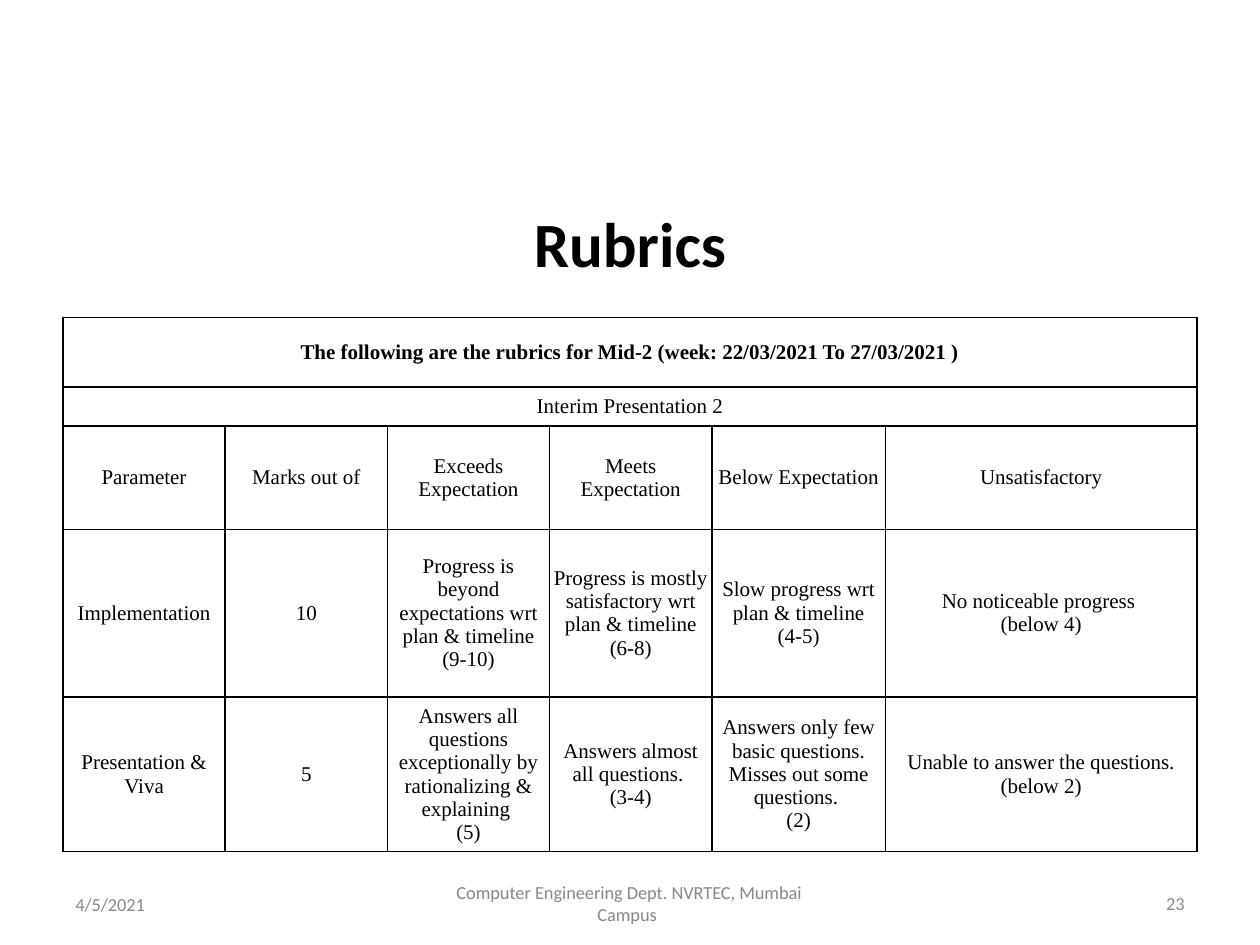
from copy import deepcopy
from dataclasses import dataclass

from lxml import etree
from pptx import Presentation
from pptx.dml.color import RGBColor
from pptx.enum import text as t
from pptx.oxml import ns
from pptx.util import Cm, Pt


@dataclass(frozen=True)
class Theme:
    ink: str = "000000"
    muted: str = "888888"
    heading_font: str = "Calibri"
    table_font: str = "Times New Roman"
    title_size: float = 36
    table_size: float = 12
    footer_size: float = 10.5
    border: float = 1


theme = Theme()


def write(frame, content, *, font, size, color, bold=False, align=t.PP_ALIGN.CENTER):
    """Fill a frame with one paragraph; newlines become line breaks of the same format."""
    paragraph = frame.paragraphs[0]
    paragraph.text = content
    paragraph.alignment = align
    for run in paragraph.runs:
        run.font.name, run.font.size, run.font.bold = font, Pt(size), bold
        run.font.color.rgb = RGBColor.from_string(color)
    for line_break in paragraph._p.findall(ns.qn("a:br")):
        line_break.append(deepcopy(paragraph.runs[0]._r.rPr))


def outline(cell):
    """Draw all four borders of a cell."""
    properties = cell._tc.get_or_add_tcPr()
    for position, side in enumerate(("lnL", "lnR", "lnT", "lnB")):
        line = etree.Element(ns.qn(f"a:{side}"), w=str(Pt(theme.border)))
        fill = etree.SubElement(line, ns.qn("a:solidFill"))
        etree.SubElement(fill, ns.qn("a:srgbClr"), val=theme.ink)
        properties.insert(position, line)


deck = Presentation()
deck.slide_width, deck.slide_height = Cm(25.4), Cm(19.05)
slide = deck.slides.add_slide(deck.slide_layouts[5])

# Title
title = slide.shapes.title
title.left, title.top, title.width, title.height = Cm(1.27), Cm(3.61), Cm(22.86), Cm(2.54)
title.text_frame.vertical_anchor = t.MSO_ANCHOR.MIDDLE
write(title.text_frame, "Rubrics", font=theme.heading_font, size=theme.title_size,
      color=theme.ink, bold=True)

# Rubric table
column_widths = [3.27] * 4 + [3.5, 6.28]
row_heights = [1.4, 0.79, 2.08, 3.38, 3.12]
rubric_rows = [
    ["The following are the rubrics for Mid-2 (week: 22/03/2021 To 27/03/2021 )"],
    ["Interim Presentation 2"],
    ["Parameter", "Marks out of", "Exceeds Expectation", "Meets Expectation",
     "Below Expectation", "Unsatisfactory"],
    ["Implementation", "10",
     "Progress is beyond expectations wrt plan & timeline\n(9-10)",
     "Progress is mostly satisfactory wrt plan & timeline\n(6-8)",
     "Slow progress wrt plan & timeline\n(4-5)",
     "No noticeable progress \n(below 4)"],
    ["Presentation & Viva", "5",
     "Answers all questions exceptionally by rationalizing & explaining \n(5)",
     "Answers almost all questions. \n(3-4)",
     "Answers only few basic questions. Misses out some questions. \n(2)",
     "Unable to answer the questions.\n(below 2)"],
]
rubric = slide.shapes.add_table(len(row_heights), len(column_widths), Cm(1.27), Cm(6.4),
                                Cm(sum(column_widths)), Cm(sum(row_heights))).table
rubric.first_row = rubric.horz_banding = False
for column, width in zip(rubric.columns, column_widths):
    column.width = Cm(width)
for row, height in zip(rubric.rows, row_heights):
    row.height = Cm(height)

for row_index, entries in enumerate(rubric_rows):
    if len(entries) == 1:
        rubric.cell(row_index, 0).merge(rubric.cell(row_index, len(column_widths) - 1))
    for column_index, entry in enumerate(entries):
        write(rubric.cell(row_index, column_index).text_frame, entry, font=theme.table_font,
              size=theme.table_size, color=theme.ink, bold=row_index == 0)

for cell in rubric.iter_cells():
    cell.vertical_anchor = t.MSO_ANCHOR.MIDDLE
    cell.margin_left = cell.margin_right = Cm(0.07)
    cell.margin_top = cell.margin_bottom = 0
    cell.fill.background()
    outline(cell)

# Footer: date, department, page number
footer_parts = [
    ("4/5/2021", 1.27, 17.73, 5.93, 0.25, t.PP_ALIGN.LEFT),
    ("Computer Engineering Dept. NVRTEC, Mumbai Campus ", 8.66, 17.7, 8.05, 0.25,
     t.PP_ALIGN.CENTER),
    ("23", 18.2, 17.7, 5.93, 0.13, t.PP_ALIGN.RIGHT),
]
for content, left, top, width, inset, align in footer_parts:
    frame = slide.shapes.add_textbox(Cm(left), Cm(top), Cm(width), Cm(1.01)).text_frame
    frame.word_wrap = True
    frame.vertical_anchor = t.MSO_ANCHOR.MIDDLE
    frame.margin_left = frame.margin_right = Cm(0.25)
    frame.margin_top = frame.margin_bottom = Cm(inset)
    write(frame, content, font=theme.heading_font, size=theme.footer_size,
          color=theme.muted, align=align)

deck.save("out.pptx")
